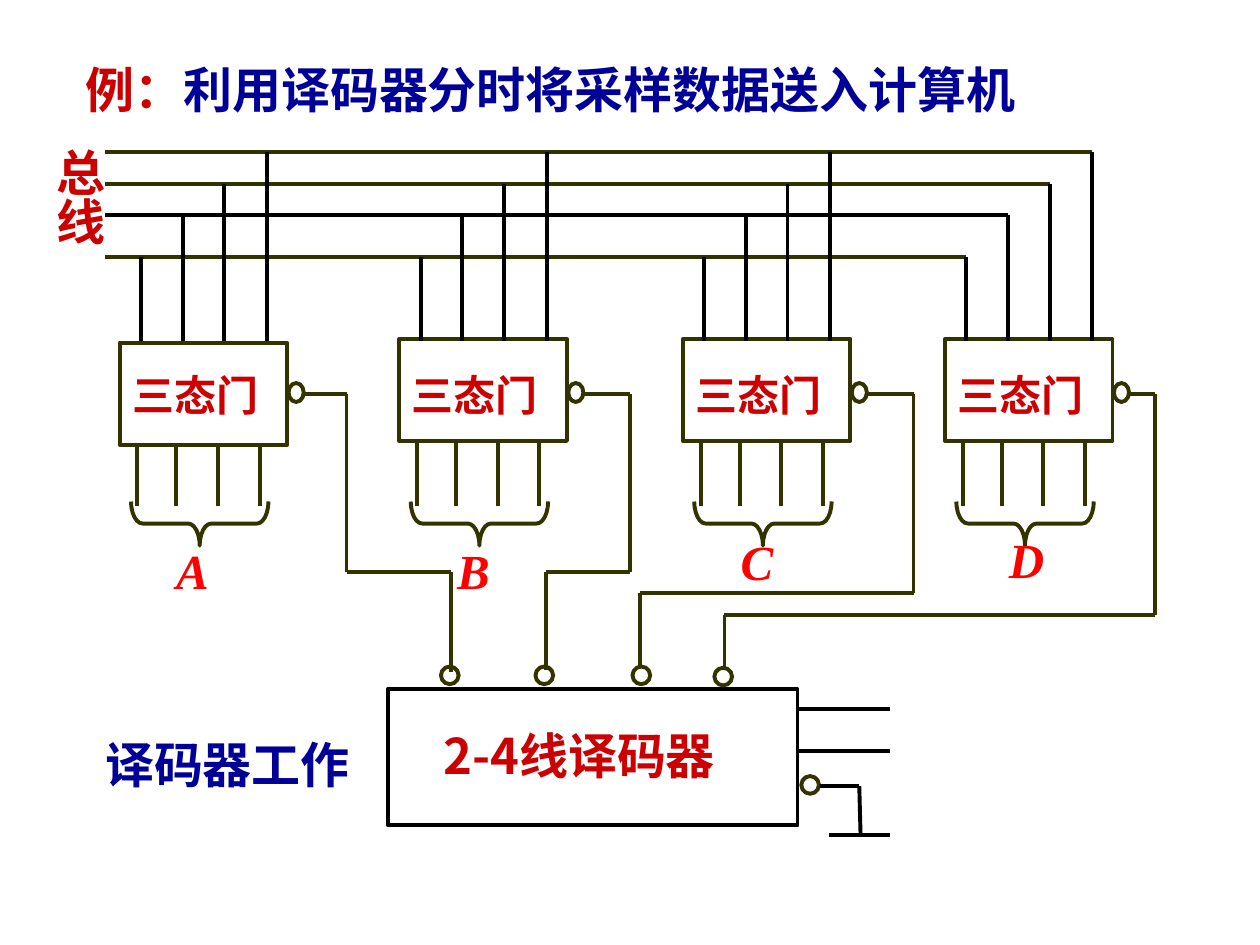
from itertools import pairwise

from lxml.etree import SubElement
from pptx import Presentation
from pptx.dml.color import RGBColor
from pptx.enum.shapes import MSO_CONNECTOR as Link, MSO_SHAPE as Shape
from pptx.enum.text import MSO_AUTO_SIZE as AutoSize, PP_ALIGN as Align
from pptx.oxml.ns import qn
from pptx.util import Inches, Pt

COLORS = {
    "paper": "FFFFFF",
    "olive": "333300",
    "black": "000000",
    "crimson": "CC0000",
    "navy": "000099",
    "red": "FF0000",
}
LATIN_FONT = "Times New Roman"
CHINESE_FONT = "Noto Sans CJK SC"
LINE_WIDTH = Pt(2.25)

# Bus lines: height, colour, offset of the tap from a gate's left side
BUS_LEFT = 0.83
BUS = [
    (1.21, "olive", 1.17),
    (1.46, "olive", 0.83),
    (1.71, "black", 0.5),
    (2.04, "olive", 0.17),
]
SIGNAL_OFFSETS = [0.14, 0.45, 0.78, 1.11]
ENABLE_Y = 3.13

# Gates: name, left, top, label left, label top,
# then the enable wire: right x, bend y, decoder x, end y
GATES = [
    ("A", 0.95, 2.72, 1.3, 4.24, 2.75, 4.54, 3.58, 5.33),
    ("B", 3.17, 2.69, 3.53, 4.24, 5, 4.54, 4.33, 5.32),
    ("C", 5.42, 2.69, 5.78, 4.17, 7.25, 4.71, 5.08, 5.29),
    ("D", 7.5, 2.69, 7.91, 4.15, 9.17, 4.88, 5.75, 5.29),
]
DECODER_BUBBLES = [(3.5, 5.29), (4.25, 5.29), (5.02, 5.29), (5.67, 5.3)]


def rgb(name):
    return RGBColor.from_string(COLORS[name])


def add_text(page, text, left, top, width, height, *, color="crimson", size=28,
             font=LATIN_FONT, italic=False, vertical=False, wrap=True,
             align=Align.LEFT, spacing=None):
    """Add a text box; text is a string or a list of (string, colour)."""
    box = page.shapes.add_textbox(Inches(left), Inches(top), Inches(width), Inches(height))
    frame = box.text_frame
    frame.word_wrap = wrap
    frame.auto_size = AutoSize.SHAPE_TO_FIT_TEXT
    if vertical:
        frame._txBody.bodyPr.set("vert", "eaVert")
    para = frame.paragraphs[0]
    para.alignment = align
    para.line_spacing = spacing
    for words, hue in [(text, color)] if isinstance(text, str) else text:
        span = para.add_run()
        span.text = words
        span.font.size = Pt(size)
        span.font.bold = True
        span.font.italic = italic
        span.font.name = font
        span.font.color.rgb = rgb(hue)
        SubElement(span.font._element, qn("a:ea"), typeface=CHINESE_FONT)


def add_outline(page, kind, left, top, width, height, color="olive"):
    """Add an unfilled preset shape."""
    shape = page.shapes.add_shape(kind, Inches(left), Inches(top), Inches(width), Inches(height))
    shape.shadow.inherit = False
    shape.fill.background()
    shape.line.color.rgb = rgb(color)
    shape.line.width = LINE_WIDTH
    return shape


def add_wire(page, *points, color="olive"):
    """Draw straight segments through the points."""
    for start, end in pairwise(points):
        wire = page.shapes.add_connector(Link.STRAIGHT, *map(Inches, start + end))
        wire.line.color.rgb = rgb(color)
        wire.line.width = LINE_WIDTH
        SubElement(wire._element.spPr, qn("a:effectLst"))


def add_bus(page):
    add_text(page, "总线", 0.25, 1.08, 0.66, 1.2, vertical=True)
    last_gate_left = GATES[-1][1]
    for y, color, tap in BUS:
        add_wire(page, (BUS_LEFT, y), (last_gate_left + tap, y), color=color)


def add_gate(page, name, left, top, label_left, label_top, right, bend, target, end):
    # Body and enable bubble
    add_outline(page, Shape.RECTANGLE, left, top, 1.33, 0.81)
    add_outline(page, Shape.OVAL, left + 1.34, 3.04, 0.12, 0.15)
    add_text(page, "三态门", left, 2.88, 1.37, 0.5, size=24)

    # Taps to the bus and sampled signals
    for y, _, tap in BUS:
        add_wire(page, (left + tap, 2.71), (left + tap, y), color="black")
    for offset in SIGNAL_OFFSETS:
        add_wire(page, (left + offset, 4.02), (left + offset, 3.52))

    # Brace with the signal name
    brace = add_outline(page, Shape.LEFT_BRACE, left + 0.46, 3.61, 0.35, 1.09)
    brace.rotation = 270
    brace.adjustments[0] = 0.26
    add_text(page, name, label_left, label_top, 0.74, 0.57, color="red", italic=True)

    # Enable wire down to the decoder
    add_wire(page, (left + 1.45, ENABLE_Y), (right, ENABLE_Y), (right, bend),
             (target, bend), (target, end))


def add_decoder(page):
    add_outline(page, Shape.RECTANGLE, 3.08, 5.47, 3.25, 1.08, color="black")
    add_text(page, "2-4线译码器", 3.42, 5.71, 2.78, 0.57, font=CHINESE_FONT)
    for left, top in DECODER_BUBBLES + [(6.36, 6.16)]:
        add_outline(page, Shape.OVAL, left, top, 0.14, 0.14)

    # Select inputs and grounded enable
    for y in (5.63, 5.96):
        add_wire(page, (6.33, y), (7.06, y), color="black")
    add_wire(page, (6.51, 6.24), (6.82, 6.24), (6.83, 6.63), color="black")
    add_wire(page, (6.58, 6.63), (7.06, 6.63), color="black")


def main():
    deck = Presentation()
    deck.slide_width, deck.slide_height = Inches(10), Inches(7.5)
    page = deck.slides.add_slide(deck.slide_layouts[6])
    page.background.fill.solid()
    page.background.fill.fore_color.rgb = rgb("paper")

    # Heading
    add_text(page, [("例：", "crimson"), ("利用译码器分时将采样数据送入计算机", "navy")],
             0.58, 0.42, 8.92, 0.57)

    # Circuit
    add_bus(page)
    add_decoder(page)
    for gate in GATES:
        add_gate(page, *gate)

    # Status caption
    add_text(page, "译码器工作", 0.73, 5.73, 2.15, 0.61, color="navy", wrap=False,
             align=Align.CENTER, spacing=1.1)
    deck.save("out.pptx")


if __name__ == "__main__":
    main()
